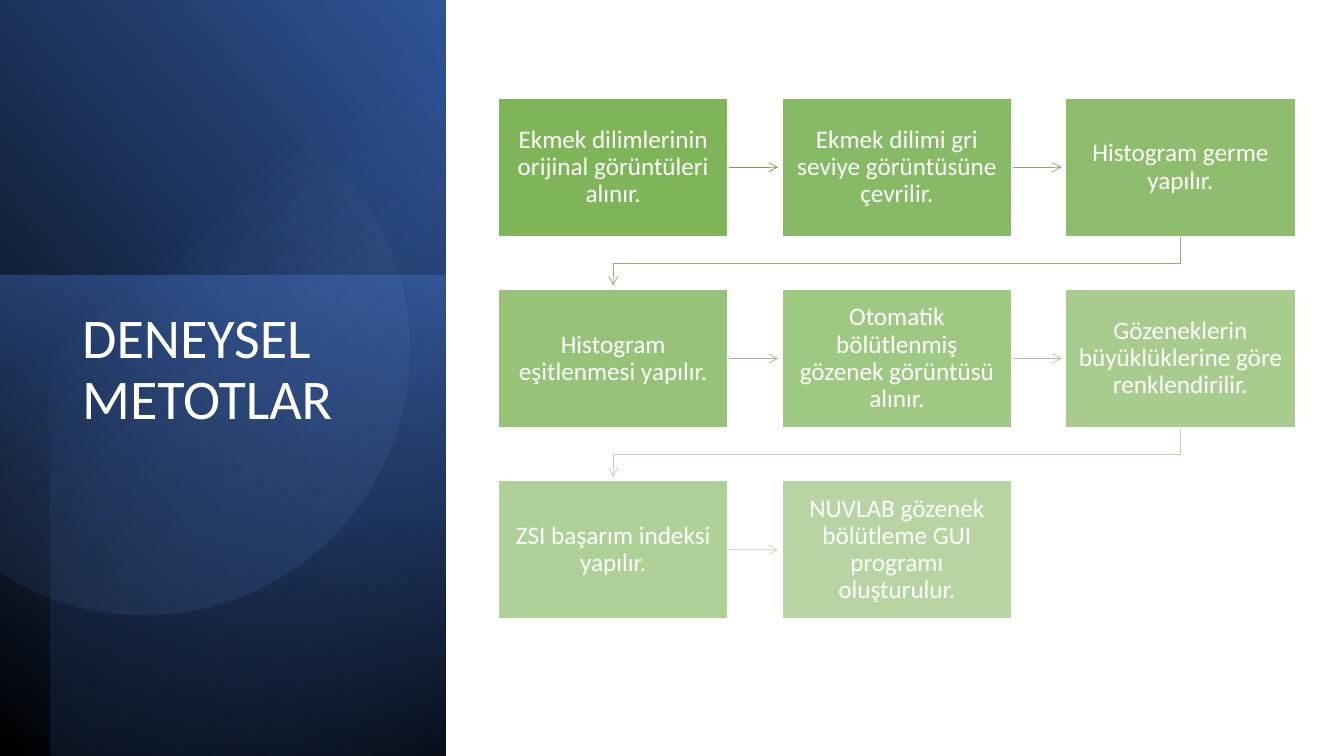
from dataclasses import dataclass
from math import acos, cos, radians, sin

from pptx import Presentation
from pptx.dml.color import RGBColor
from pptx.enum.shapes import MSO_CONNECTOR, MSO_SHAPE
from pptx.enum.text import MSO_ANCHOR, MSO_AUTO_SIZE, PP_ALIGN
from pptx.oxml.ns import qn
from pptx.util import Pt
from lxml.etree import SubElement

FONT = "Calibri"
COLORS = {
    "white": "FFFFFF", "black": "000000", "blue": "4472C4", "deep blue": "2F5597",
    "navy": "203864", "pale blue": "8FAADC", "green": "70AD47",
    "arrow 1": "6BA544", "arrow 2": "78B453", "arrow 3": "88BA6B", "arrow 4": "98C181",
    "arrow 5": "A8C997", "arrow 6": "B8D2AD", "arrow 7": "C9DBC1",
}
STEPS = [
    "Ekmek dilimlerinin orijinal görüntüleri alınır.",
    "Ekmek dilimi gri seviye görüntüsüne çevrilir.",
    "Histogram germe yapılır.",
    "Histogram eşitlenmesi yapılır.",
    "Otomatik bölütlenmiş gözenek görüntüsü alınır.",
    "Gözeneklerin büyüklüklerine göre renklendirilir.",
    "ZSI başarım indeksi yapılır.",
    "NUVLAB gözenek bölütleme GUI programı oluşturulur.",
]

# Step grid, in points
COLUMNS = 3
GRID_LEFT, GRID_TOP = 355.9, 70.2
BOX_WIDTH, BOX_HEIGHT = 164.3, 98.6
COLUMN_PITCH, ROW_PITCH = 202.6, 136.6
ARROW_LENGTH, ELBOW_DROP = 35.2, 19
FIRST_OPACITY, LAST_OPACITY = 90, 50


@dataclass
class Stop:
    color: str
    position: float
    opacity: int = 100


@dataclass
class Panel:
    """A turned rectangle, given by the area it covers on the page."""
    left: float
    top: float
    width: float
    height: float
    rotation: float
    flipped: bool
    angle: float
    stops: tuple[Stop, Stop]


PANELS = [
    Panel(0, 0, 318.2, 541.4, 90, True, 310,
          (Stop("black", 0), Stop("deep blue", 1))),
    Panel(0, 197, 318.2, 342.7, 270, False, 190,
          (Stop("blue", 0, 50), Stop("navy", 1, 0))),
    Panel(36, 0, 282.2, 540, 270, True, 220,
          (Stop("black", 0, 59), Stop("blue", 0.69, 0))),
]


def rgb(name: str) -> RGBColor:
    return RGBColor.from_string(COLORS[name])


def set_opacity(color_element, percent: float) -> None:
    SubElement(color_element, qn("a:alpha")).set("val", str(round(percent * 1000)))


def fill_gradient(shape, stops: tuple[Stop, Stop], angle: float) -> None:
    """Fill with a gradient whose angle runs clockwise."""
    shape.fill.gradient()
    shape.fill.gradient_angle = 360 - angle
    for target, stop in zip(shape.fill.gradient_stops, stops):
        target.color.rgb = rgb(stop.color)
        target.position = stop.position
    for element, stop in zip(shape.element.spPr.iter(qn("a:srgbClr")), stops):
        if stop.opacity < 100:
            set_opacity(element, stop.opacity)
    shape.line.fill.background()
    shape.shadow.inherit = False


def draw_path(page, points: list[tuple[float, float]], close: bool):
    corners = [(Pt(x), Pt(y)) for x, y in points]
    builder = page.shapes.build_freeform(*corners[0])
    builder.add_line_segments(corners[1:], close=close)
    return builder.convert_to_shape()


def draw_panel(page, panel: Panel) -> None:
    shift = (panel.width - panel.height) / 2
    box = page.shapes.add_shape(
        MSO_SHAPE.RECTANGLE, Pt(panel.left + shift), Pt(panel.top - shift),
        Pt(panel.height), Pt(panel.width))
    box.rotation = panel.rotation
    if panel.flipped:
        box.element.spPr.get_or_add_xfrm().set("flipH", "1")
    fill_gradient(box, panel.stops, panel.angle)


def draw_disc(page) -> None:
    """Draw the translucent circle that the left page edge cuts off."""
    center_x, center_y, radius = 102.5, 250, 189.4
    pivot_x, pivot_y, rotation = 130.3, 255.2, 101.6
    half_arc = acos(-center_x / radius)
    turn, segments = radians(-rotation), 120
    points = []
    for index in range(segments + 1):
        theta = half_arc * (2 * index / segments - 1)
        x = center_x + radius * cos(theta) - pivot_x
        y = center_y + radius * sin(theta) - pivot_y
        points.append((pivot_x + x * cos(turn) - y * sin(turn),
                       pivot_y + x * sin(turn) + y * cos(turn)))
    disc = draw_path(page, points, close=True)
    disc.rotation = rotation
    fill_gradient(disc, (Stop("pale blue", 0.39, 0), Stop("deep blue", 1, 26)), 310)


def write_title(page, text: str) -> None:
    title = page.shapes.title
    title.left, title.top, title.width, title.height = Pt(51.5), Pt(218), Pt(226.8), Pt(241.9)
    frame = title.text_frame
    frame.text = text
    frame.word_wrap = True
    frame.auto_size = MSO_AUTO_SIZE.NONE
    frame.vertical_anchor = MSO_ANCHOR.TOP
    para = frame.paragraphs[0]
    para.alignment = PP_ALIGN.LEFT
    para.line_spacing = 0.9
    format_font(para, 40)
    page.shapes.element.append(title.element)  # in front of the panels


def format_font(para, size: float) -> None:
    para.font.name = FONT
    para.font.size = Pt(size)
    para.font.color.rgb = rgb("white")


def step_corner(index: int) -> tuple[float, float]:
    row, column = divmod(index, COLUMNS)
    return GRID_LEFT + column * COLUMN_PITCH, GRID_TOP + row * ROW_PITCH


def draw_step(page, index: int, text: str) -> None:
    left, top = step_corner(index)
    box = page.shapes.add_shape(
        MSO_SHAPE.RECTANGLE, Pt(left), Pt(top), Pt(BOX_WIDTH), Pt(BOX_HEIGHT))
    box.shadow.inherit = False
    box.fill.solid()
    box.fill.fore_color.rgb = rgb("green")
    fade = (FIRST_OPACITY - LAST_OPACITY) / (len(STEPS) - 1)
    set_opacity(next(box.element.spPr.iter(qn("a:srgbClr"))), FIRST_OPACITY - index * fade)
    box.line.color.rgb = rgb("white")
    box.line.width = Pt(1)
    frame = box.text_frame
    frame.text = text
    frame.word_wrap = True
    frame.vertical_anchor = MSO_ANCHOR.MIDDLE
    frame.margin_left = frame.margin_right = Pt(8)
    frame.margin_top = frame.margin_bottom = Pt(8.5)
    para = frame.paragraphs[0]
    para.alignment = PP_ALIGN.CENTER
    para.line_spacing = 0.9
    format_font(para, 18)


def draw_arrow(page, index: int) -> None:
    """Lead from a step to the next one, by an elbow at the end of a row."""
    left, top = step_corner(index)
    if (index + 1) % COLUMNS:
        x, y = left + BOX_WIDTH + 0.4, top + BOX_HEIGHT / 2
        arrow = page.shapes.add_connector(
            MSO_CONNECTOR.STRAIGHT, Pt(x), Pt(y), Pt(x + ARROW_LENGTH), Pt(y))
        SubElement(arrow.element.spPr, qn("a:effectLst"))
    else:
        start_x, start_y = left + BOX_WIDTH / 2, top + BOX_HEIGHT
        end_x = GRID_LEFT + BOX_WIDTH / 2
        turn_y = start_y + ELBOW_DROP
        arrow = draw_path(page, [(start_x, start_y), (start_x, turn_y), (end_x, turn_y),
                                 (end_x, start_y + ARROW_LENGTH)], close=False)
        arrow.fill.background()
        arrow.shadow.inherit = False
    arrow.line.color.rgb = rgb(f"arrow {index + 1}")
    arrow.line.width = Pt(0.5)
    SubElement(arrow.element.spPr.find(qn("a:ln")), qn("a:tailEnd")).set("type", "arrow")


def main() -> None:
    deck = Presentation()
    deck.slide_width, deck.slide_height = Pt(960), Pt(540)
    page = deck.slides.add_slide(deck.slide_layouts[5])

    # Left side: blue panels, disc and title
    for panel in PANELS:
        draw_panel(page, panel)
    draw_disc(page)
    write_title(page, "DENEYSEL METOTLAR")

    # Right side: process steps, each with its arrow to the next
    for index, text in enumerate(STEPS):
        if index < len(STEPS) - 1:
            draw_arrow(page, index)
        draw_step(page, index, text)

    deck.save("out.pptx")


if __name__ == "__main__":
    main()
